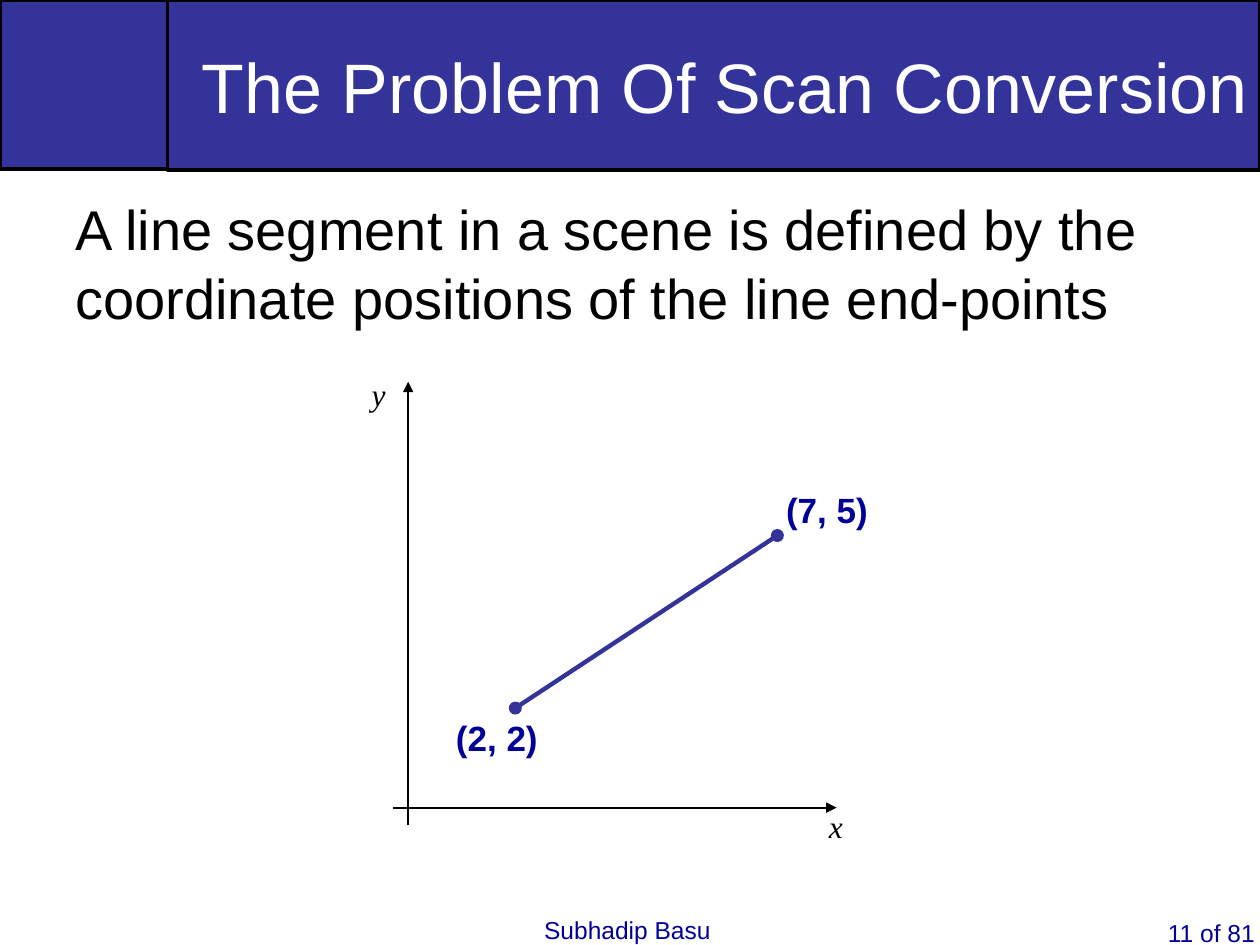
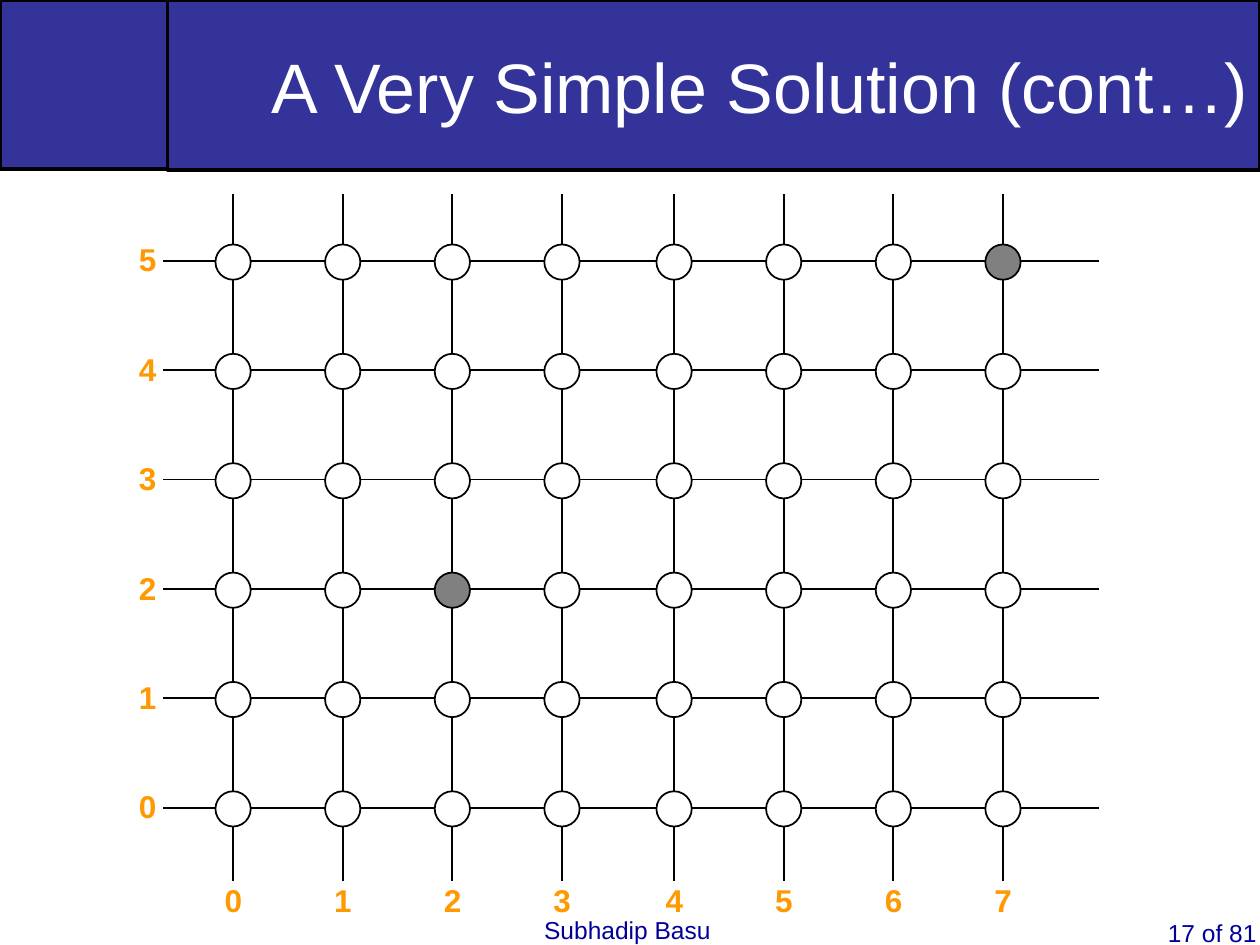
from dataclasses import dataclass
from lxml import etree
from pptx import Presentation
from pptx.dml.color import RGBColor
from pptx.enum.shapes import MSO_CONNECTOR, MSO_SHAPE
from pptx.enum.text import MSO_ANCHOR, PP_ALIGN
from pptx.oxml.ns import qn
from pptx.util import Inches, Pt

RECT, OVAL = MSO_SHAPE.RECTANGLE, MSO_SHAPE.OVAL
STRAIGHT = MSO_CONNECTOR.STRAIGHT
LEFT, RIGHT = PP_ALIGN.LEFT, PP_ALIGN.RIGHT
TOP, MID = MSO_ANCHOR.TOP, MSO_ANCHOR.MIDDLE


@dataclass(frozen=True)
class Theme:
    band: str = "333399"
    navy: str = "000099"
    gold: str = "FF9900"
    black: str = "000000"
    white: str = "FFFFFF"
    gray: str = "808080"
    sans: str = "Arial"
    serif: str = "Times New Roman"
    title: int = 40
    body: int = 32
    point: int = 20
    label: int = 18
    foot: int = 14


T = Theme()
deck = Presentation()
deck.slide_width, deck.slide_height = Inches(10), Inches(7.5)

# The slide is a grid of 100 columns by 75 rows
COL, ROW = deck.slide_width / 100, deck.slide_height / 75


def put(slide, box, text="", size=T.label, color=T.black, font=T.sans, bold=False,
        italic=False, align=LEFT, anchor=TOP, wrap=False, kind=None, fill=None, edge=1):
    x, y, w, h = box
    place = [int(v) for v in (x * COL, y * ROW, w * COL, h * ROW)]
    if kind is None:
        shape = slide.shapes.add_textbox(*place)
    else:
        shape = slide.shapes.add_shape(kind, *place)
        shape.shadow.inherit = False
        shape.fill.solid()
        shape.fill.fore_color.rgb = RGBColor.from_string(fill)
        shape.line.color.rgb = RGBColor.from_string(T.black)
        shape.line.width = Pt(edge)
    if text:
        frame = shape.text_frame
        frame.word_wrap, frame.vertical_anchor = wrap, anchor
        para = frame.paragraphs[0]
        para.alignment = align
        run = para.add_run()
        run.text = text
        run.font.name, run.font.size = font, Pt(size)
        run.font.bold, run.font.italic = bold, italic
        run.font.color.rgb = RGBColor.from_string(color)
    return shape


def draw(slide, start, end, color=T.black, width=1, head=None, tail=None):
    (x1, y1), (x2, y2) = start, end
    line = slide.shapes.add_connector(
        STRAIGHT, int(x1 * COL), int(y1 * ROW), int(x2 * COL), int(y2 * ROW))
    line.line.color.rgb = RGBColor.from_string(color)
    line.line.width = Pt(width)
    props = line._element.spPr
    for tag, tip in (("a:headEnd", head), ("a:tailEnd", tail)):
        if tip:
            etree.SubElement(props.find(qn("a:ln")), qn(tag), type=tip)
    etree.SubElement(props, qn("a:effectLst"))


# Shared bands, titles and footers
slides = []
for title, page in (("The Problem Of Scan Conversion", 11),
                    ("A Very Simple Solution (cont…)", 17)):
    slide = deck.slides.add_slide(deck.slide_layouts[6])
    put(slide, (0, 0, 13.3, 13.4), kind=RECT, fill=T.band, edge=2)
    put(slide, (13.3, 0, 86.7, 13.5), title, T.title, T.white, align=RIGHT,
        anchor=MID, wrap=True, kind=RECT, fill=T.band, edge=2)
    put(slide, (42.2, 72.1, 15.2, 3.4), "Subhadip Basu", T.foot, T.navy)
    put(slide, (91.7, 72.4, 9.8, 5.7), f"{page} of 81", T.foot, T.navy, wrap=True)
    slides.append(slide)
scene, mesh = slides

# Scene: statement
body = put(scene, (5, 14.7, 90, 60.3),
           "A line segment in a scene is defined by the coordinate positions "
           "of the line end-points", T.body, wrap=True)
body.text_frame.paragraphs[0].line_spacing = 1.04

# Scene: axes with their names
draw(scene, (32.4, 65.5), (32.4, 30.3), tail="triangle")
draw(scene, (31.2, 64.1), (66.4, 64.1), tail="triangle")
for name, x, y in (("x", 64.8, 63.6), ("y", 28.5, 29.3)):
    put(scene, (x, y, 3.1, 4), name, font=T.serif, italic=True)

# Scene: segment with its end-points
draw(scene, (40.9, 56.2), (61.7, 42.5), T.band, 2.5, "oval", "oval")
for name, x, y in (("(2, 2)", 35.2, 56.4), ("(7, 5)", 61.4, 38.3)):
    put(scene, (x, y, 8.5, 4.4), name, T.point, T.navy, bold=True)

# Mesh: the right half of the columns sits slightly further out
xs = [18.5 + 8.7 * i + (0.2 if i > 3 else 0) for i in range(8)]
ys = [64.1 - 8.68 * j for j in range(6)]
for y in ys:
    draw(mesh, (87.2, y), (12.9, y))
for x in xs:
    draw(mesh, (x, 15.4), (x, 69.9))

# Mesh: pixels, with the two end-points filled
lit = {(2, 2), (7, 5)}
for j, y in enumerate(ys):
    for i, x in enumerate(xs):
        put(mesh, (x - 1.4, y - 1.3, 2.8, 2.8), kind=OVAL,
            fill=T.gray if (i, j) in lit else T.white)

# Mesh: row and column numbers
spots = [(j, 10, y - 2.1) for j, y in enumerate(ys)]
spots += [(i, x - 1.7, 69.4) for i, x in enumerate(xs)]
for num, x, y in spots:
    put(mesh, (x, y, 3.4, 4), str(num), color=T.gold, bold=True, align=RIGHT)

deck.save("out.pptx")
